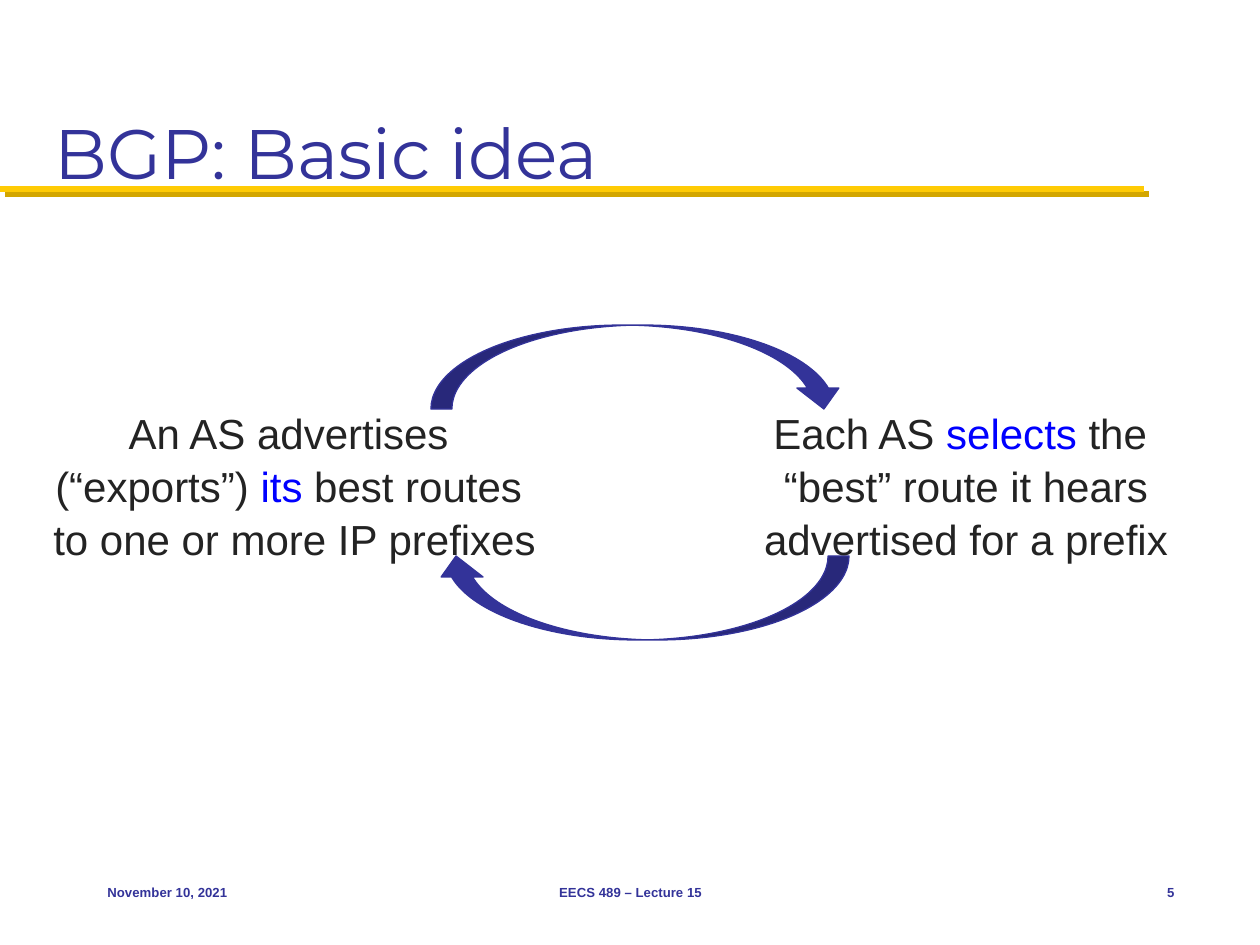
from lxml import etree
from pptx import Presentation
from pptx.dml.color import RGBColor
from pptx.enum.shapes import MSO_CONNECTOR, MSO_SHAPE
from pptx.enum.text import MSO_ANCHOR as Anchor, MSO_AUTO_SIZE, PP_ALIGN as Align
from pptx.oxml import parse_xml
from pptx.util import Pt

PX = 914400 / 126
INDIGO, INK, BLUE, GOLD = "333399", "232323", "0000FF", "FFCB05"


def rgb(value):
    return RGBColor.from_string(value)


def write(box, parts, place, size=24, font="Arial", align=Align.LEFT,
          anchor=Anchor.TOP, bold=False, spacing=1.0):
    """Place a text shape and fill it with (text, colour) parts; \\n breaks a line."""
    box.left, box.top, box.width, box.height = [round(v * PX) for v in place]
    frame = box.text_frame
    frame.word_wrap = True
    frame.auto_size = MSO_AUTO_SIZE.NONE
    frame.vertical_anchor = anchor
    paragraph = frame.paragraphs[0]
    paragraph.alignment = align
    paragraph.line_spacing = spacing
    for text, color in parts:
        for i, piece in enumerate(text.split("\n")):
            if i:
                paragraph.add_line_break()
            run = paragraph.add_run()
            run.text = piece
            run.font.size, run.font.name, run.font.bold = Pt(size), font, bold
            run.font.color.rgb = rgb(color)


deck = Presentation()
deck.slide_width, deck.slide_height = round(1260 * PX), round(945 * PX)
slide = deck.slides.add_slide(deck.slide_layouts[5])
shapes = slide.shapes

# Title and its gold rule with an offset shadow
write(shapes.title, [("BGP: Basic idea", INDIGO)], (42, 21, 1176, 179 - 0),
      size=40, font="Montserrat", anchor=Anchor.BOTTOM)
shapes.title.height = round(158 * PX) + round(21 * PX)
rule = shapes.add_connector(MSO_CONNECTOR.STRAIGHT, 0, round(189 * PX),
                            round(1144 * PX), round(189 * PX))
rule.line.color.rgb = rgb(GOLD)
rule.line.width = Pt(3.5)
rule._element.spPr.append(parse_xml(
    '<a:effectLst xmlns:a="http://schemas.openxmlformats.org/drawingml/2006/main">'
    f'<a:outerShdw dist="{Pt(4.2)}" dir="2700000" algn="ctr" rotWithShape="0">'
    '<a:srgbClr val="D3A600"/></a:outerShdw></a:effectLst>'))

# Curved arrows of the cycle: left, top, rotation
for left, top, rotation in [(596, 160, 270), (600, 391, 90)]:
    arrow = shapes.add_shape(MSO_SHAPE.CURVED_LEFT_ARROW, round(left * PX),
                             round(top * PX), round(84 * PX), round(414 * PX))
    arrow.rotation = rotation
    arrow.shadow.inherit = False
    arrow.fill.solid()
    arrow.fill.fore_color.rgb = arrow.line.color.rgb = rgb(INDIGO)
    arrow.line.width = Pt(0.75)

# The two steps
steps = [
    ((672, 399, 588, 179),
     [("Each AS ", INK), ("selects", BLUE),
      (" the \n“best” route it hears advertised for a prefix", INK)]),
    ((32, 399, 525, 179),
     [("An AS advertises \n(“exports”) ", INK), ("its", BLUE),
      (" best routes \nto one or more IP prefixes", INK)]),
]
for place, parts in steps:
    write(shapes.add_textbox(0, 0, 0, 0), parts, place, align=Align.CENTER, spacing=1.05)

# Footer
footer = [("November 10, 2021", 95, 262, Align.LEFT),
          ("EECS 489 – Lecture 15", 431, 399, Align.CENTER),
          ("5", 1103, 84, Align.RIGHT)]
for text, left, width, align in footer:
    write(shapes.add_textbox(0, 0, 0, 0), [(text, INDIGO)], (left, 861, width, 63),
          size=7.5, align=align, anchor=Anchor.MIDDLE, bold=True)

deck.save("out.pptx")
